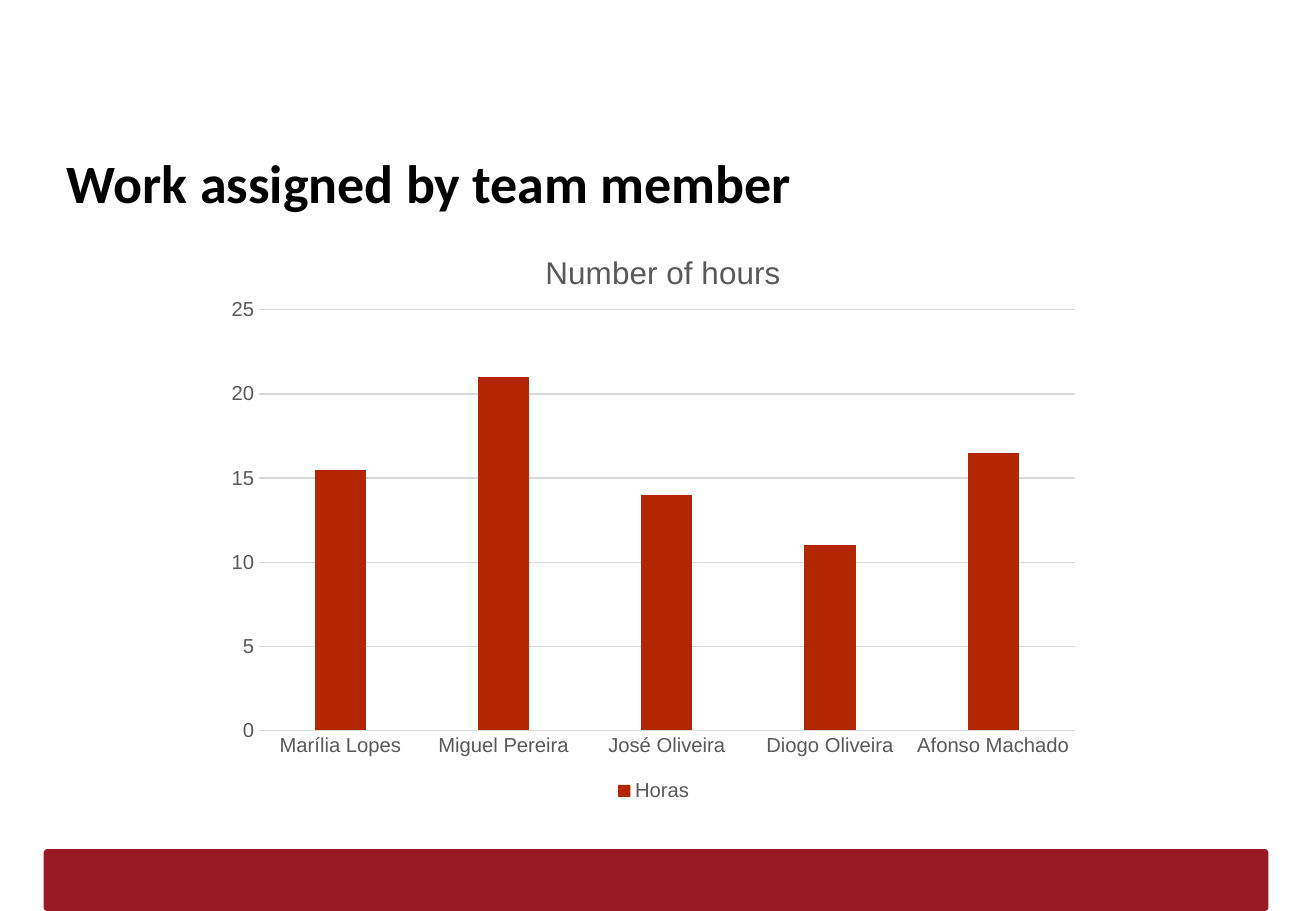
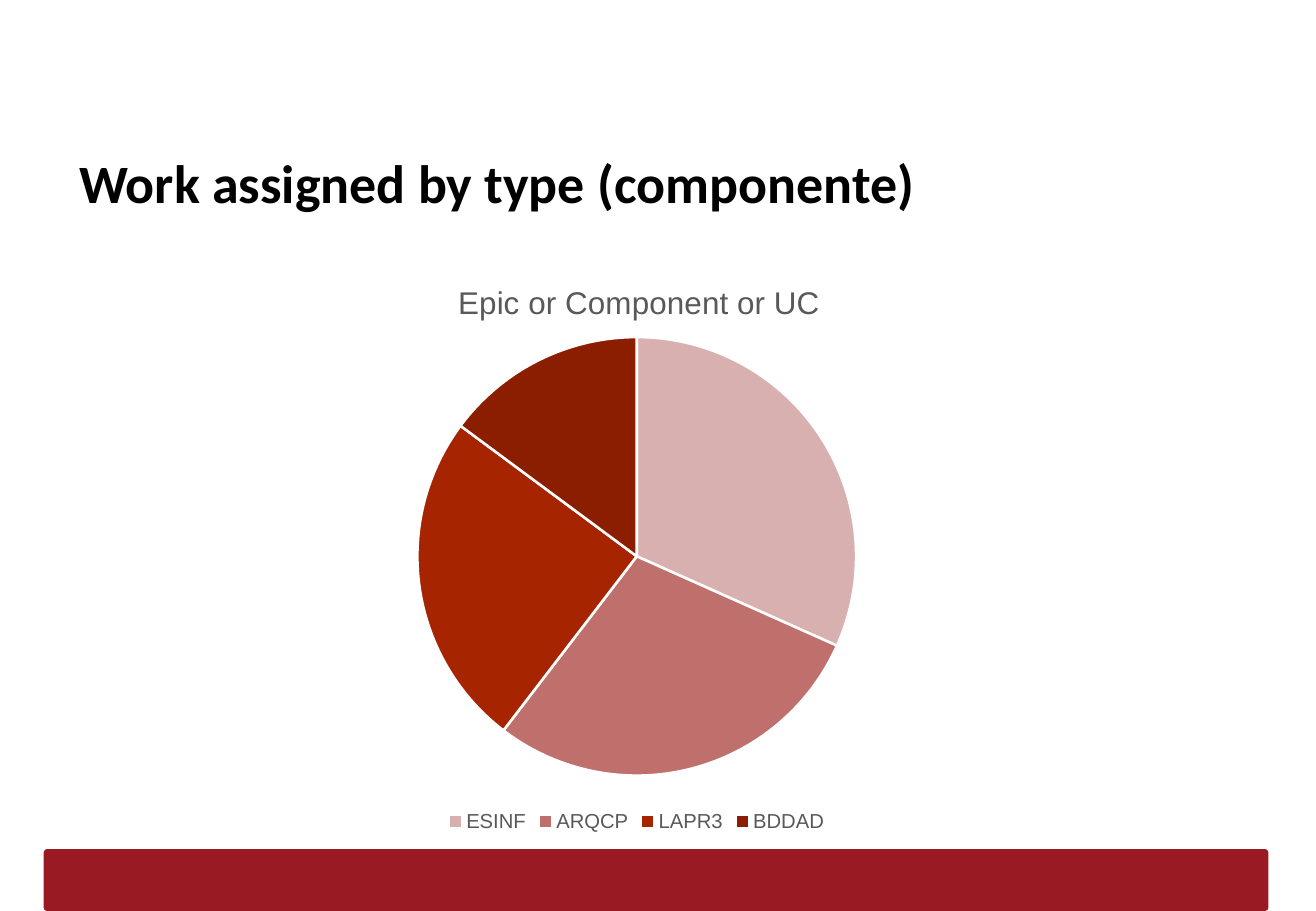
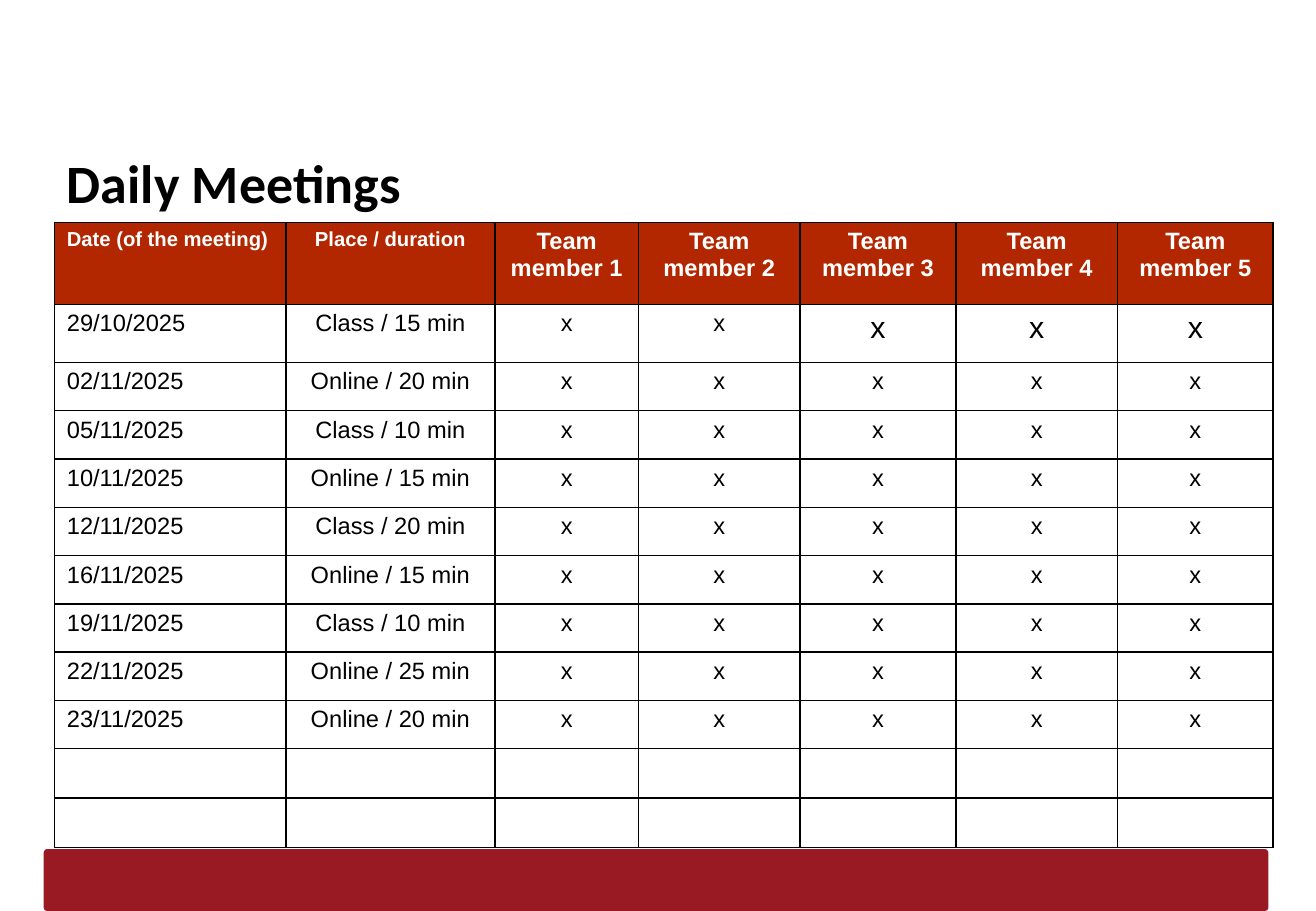
import dataclasses
import typing

import lxml.etree
import pptx
import pptx.chart.chart
import pptx.chart.data
import pptx.dml.color
import pptx.dml.fill
import pptx.enum.chart
import pptx.enum.shapes
import pptx.enum.text
import pptx.oxml.ns
import pptx.presentation
import pptx.slide
import pptx.table
import pptx.text.text
import pptx.util

WIDTH = pptx.util.Inches(10.83)
HEIGHT = pptx.util.Inches(7.5)
GRID = 100

BLACK = "000000"
WHITE = "FFFFFF"
BAND_RED = "9A1A24"
BRICK = "B22600"
CHART_TEXT = "595959"
CHART_LINE = "D9D9D9"
SLICE_COLOURS = ("D7B0AF", "BF706C", "A72400", "8C1E00")

BODY_FONT = "Arial"
TITLE_FONT = "Calibri"
CENTER = pptx.enum.text.PP_ALIGN.CENTER
LEFT = pptx.enum.text.PP_ALIGN.LEFT


@dataclasses.dataclass(frozen=True)
class Region:
    column: float
    row: float
    columns: float
    rows: float

    def place(self) -> tuple[int, int, int, int]:
        return (
            round(self.column * WIDTH / GRID),
            round(self.row * HEIGHT / GRID),
            round(self.columns * WIDTH / GRID),
            round(self.rows * HEIGHT / GRID),
        )


@dataclasses.dataclass(frozen=True)
class ChartSpec:
    kind: pptx.enum.chart.XL_CHART_TYPE
    region: Region
    heading: str
    heading_share: tuple[float, float]
    plot_share: tuple[float, float, float, float]
    series: str
    values: dict[str, float]


@dataclasses.dataclass(frozen=True)
class Meeting:
    date: str
    place: str


BAND = Region(3.32, 93.2, 93.07, 6.8)
TITLE = Region(4.16, 14.53, 91.32, 8.4)
TABLE = Region(4.16, 24.4, 92.6, 68.4)

HOURS = ChartSpec(
    kind=pptx.enum.chart.XL_CHART_TYPE.COLUMN_CLUSTERED,
    region=Region(16.34, 24.4, 66.67, 64.13),
    heading="Number of hours",
    heading_share=(0.37, 0.04),
    plot_share=(0.05, 0.15, 0.93, 0.72),
    series="Horas",
    values={
        "Marília Lopes": 15.5,
        "Miguel Pereira": 21,
        "José Oliveira": 14,
        "Diogo Oliveira": 11,
        "Afonso Machado": 16.5,
    },
)
COMPONENTS = ChartSpec(
    kind=pptx.enum.chart.XL_CHART_TYPE.PIE,
    region=Region(15.05, 27.73, 66.67, 64.13),
    heading="Epic or Component or UC",
    heading_share=(0.29, 0.04),
    plot_share=(0.25, 0.14, 0.5, 0.76),
    series="Series 1",
    values={"ESINF": 32, "ARQCP": 29, "LAPR3": 25, "BDDAD": 15},
)

MEMBERS = 5
HEADERS = ["Date (of the meeting)", "Place / duration"] + [
    f"Team member {number}" for number in range(1, MEMBERS + 1)
]
MEETINGS = (
    Meeting("29/10/2025", "Class / 15 min"),
    Meeting("02/11/2025", "Online / 20 min"),
    Meeting("05/11/2025", "Class / 10 min"),
    Meeting("10/11/2025", "Online / 15 min"),
    Meeting("12/11/2025", "Class / 20 min"),
    Meeting("16/11/2025", "Online / 15 min"),
    Meeting("19/11/2025", "Class / 10 min"),
    Meeting("22/11/2025", "Online / 25 min"),
    Meeting("23/11/2025", "Online / 20 min"),
)
EMPTY_ROWS = 2
COLUMN_WEIGHTS = (190, 172, 118, 133, 128, 133, 128)
ROW_WEIGHTS = (17, 12) + (10,) * (len(MEETINGS) - 1 + EMPTY_ROWS)


def colour(value: str) -> pptx.dml.color.RGBColor:
    return pptx.dml.color.RGBColor.from_string(value)


def paint(fill: pptx.dml.fill.FillFormat, value: str) -> None:
    fill.solid()
    fill.fore_color.rgb = colour(value)


def style_font(
    font: pptx.text.text.Font,
    size: float,
    value: str,
    name: str = BODY_FONT,
    bold: bool = False,
) -> None:
    font.name = name
    font.size = pptx.util.Pt(size)
    font.bold = bold
    font.color.rgb = colour(value)


def write(
    frame: pptx.text.text.TextFrame,
    text: str,
    *,
    size: float,
    value: str = BLACK,
    name: str = BODY_FONT,
    bold: bool = False,
    align: pptx.enum.text.PP_ALIGN = LEFT,
) -> None:
    para = frame.paragraphs[0]
    para.alignment = align
    span = para.add_run()
    span.text = text
    style_font(span.font, size, value, name, bold)


def add_band(page: pptx.slide.Slide) -> None:
    band = page.shapes.add_shape(
        pptx.enum.shapes.MSO_SHAPE.ROUNDED_RECTANGLE, *BAND.place()
    )
    band.adjustments[0] = 0.06
    band.shadow.inherit = False
    paint(band.fill, BAND_RED)
    band.line.fill.background()
    page.slide_layout.shapes.element.append(band.element)


def add_page(
    deck: pptx.presentation.Presentation, title: str, inset: float = 0.1
) -> pptx.slide.Slide:
    page = deck.slides.add_slide(deck.slide_layouts.get_by_name("Title Only"))
    box = page.shapes.title
    box.left, box.top, box.width, box.height = TITLE.place()
    frame = box.text_frame
    frame.word_wrap = True
    frame.auto_size = pptx.enum.text.MSO_AUTO_SIZE.NONE
    frame.vertical_anchor = pptx.enum.text.MSO_ANCHOR.TOP
    frame.margin_left = pptx.util.Inches(inset)
    frame.margin_top = pptx.util.Inches(0.14)
    frame.margin_bottom = 0
    write(frame, title, size=32, name=TITLE_FONT, bold=True)
    return page


def set_layout(
    parent: lxml.etree._Element,
    position: int,
    shares: typing.Sequence[float],
    inner: bool = False,
) -> None:
    tag = pptx.oxml.ns.qn
    previous = parent.find(tag("c:layout"))
    if previous is not None:
        parent.remove(previous)
    layout = lxml.etree.Element(tag("c:layout"))
    manual = lxml.etree.SubElement(layout, tag("c:manualLayout"))
    settings = [("layoutTarget", "inner")] if inner else []
    settings += [("xMode", "edge"), ("yMode", "edge")]
    settings += [(key, str(share)) for key, share in zip("xywh", shares)]
    for key, value in settings:
        lxml.etree.SubElement(manual, tag(f"c:{key}")).set("val", value)
    parent.insert(position, layout)


def add_chart(page: pptx.slide.Slide, spec: ChartSpec) -> pptx.chart.chart.Chart:
    data = pptx.chart.data.CategoryChartData()
    data.categories = list(spec.values)
    data.add_series(spec.series, list(spec.values.values()))
    chart = page.shapes.add_chart(spec.kind, *spec.region.place(), data).chart
    style_font(chart.font, 10, BLACK)
    chart.has_title = True
    write(
        chart.chart_title.text_frame,
        spec.heading,
        size=18.6,
        value=CHART_TEXT,
        align=CENTER,
    )
    chart.chart_title.include_in_layout = False
    chart.has_legend = True
    chart.legend.position = pptx.enum.chart.XL_LEGEND_POSITION.BOTTOM
    chart.legend.include_in_layout = False
    style_font(chart.legend.font, 12, CHART_TEXT)
    set_layout(chart.chart_title.element, 1, spec.heading_share)
    plot_area = chart.element.find(f".//{pptx.oxml.ns.qn('c:plotArea')}")
    set_layout(plot_area, 0, spec.plot_share, inner=True)
    return chart


def format_columns(chart: pptx.chart.chart.Chart) -> None:
    plot = chart.plots[0]
    plot.gap_width = 219
    plot.overlap = -27
    plot.vary_by_categories = False
    paint(plot.series[0].format.fill, BRICK)
    for axis in (chart.category_axis, chart.value_axis):
        axis.major_tick_mark = pptx.enum.chart.XL_TICK_MARK.NONE
        axis.minor_tick_mark = pptx.enum.chart.XL_TICK_MARK.NONE
        style_font(axis.tick_labels.font, 12, CHART_TEXT)
    chart.value_axis.format.line.fill.background()
    chart.value_axis.minimum_scale = 0
    chart.value_axis.maximum_scale = 25
    chart.value_axis.major_unit = 5
    for line in (
        chart.category_axis.format.line,
        chart.value_axis.major_gridlines.format.line,
    ):
        line.color.rgb = colour(CHART_LINE)
        line.width = pptx.util.Pt(0.75)


def format_slices(chart: pptx.chart.chart.Chart) -> None:
    plot = chart.plots[0]
    plot.vary_by_categories = True
    for number, value in enumerate(SLICE_COLOURS):
        piece = plot.series[0].points[number].format
        paint(piece.fill, value)
        piece.line.color.rgb = colour(WHITE)
        piece.line.width = pptx.util.Pt(1.5)


def add_borders(cell: pptx.table._Cell) -> None:
    tag = pptx.oxml.ns.qn
    properties = cell._tc.get_or_add_tcPr()
    for side in ("lnL", "lnR", "lnT", "lnB"):
        line = lxml.etree.SubElement(properties, tag(f"a:{side}"))
        line.set("w", str(pptx.util.Pt(1)))
        fill = lxml.etree.SubElement(line, tag("a:solidFill"))
        lxml.etree.SubElement(fill, tag("a:srgbClr")).set("val", BLACK)


def cell_size(row: int, column: int) -> int:
    if row == 0 and column < 2:
        return 12
    if row == 1 and column > 3:
        return 18
    return 14


def add_meetings(page: pptx.slide.Slide) -> None:
    rows = [HEADERS]
    rows += [[item.date, item.place] + ["x"] * MEMBERS for item in MEETINGS]
    rows += [[""] * len(HEADERS)] * EMPTY_ROWS
    left, top, width, height = TABLE.place()
    table = page.shapes.add_table(
        len(rows), len(HEADERS), left, top, width, height
    ).table
    table.first_row = False
    table.horz_banding = False
    for column, weight in zip(table.columns, COLUMN_WEIGHTS):
        column.width = round(width * weight / sum(COLUMN_WEIGHTS))
    for row, weight in zip(table.rows, ROW_WEIGHTS):
        row.height = round(height * weight / sum(ROW_WEIGHTS))
    for row_number, texts in enumerate(rows):
        header = row_number == 0
        for column_number, text in enumerate(texts):
            cell = table.cell(row_number, column_number)
            add_borders(cell)
            if header:
                paint(cell.fill, BRICK)
            else:
                cell.fill.background()
            if text:
                write(
                    cell.text_frame,
                    text,
                    size=cell_size(row_number, column_number),
                    value=WHITE if header else BLACK,
                    bold=header,
                    align=CENTER if column_number else LEFT,
                )


def main() -> None:
    deck = pptx.Presentation()
    deck.slide_width = WIDTH
    deck.slide_height = HEIGHT

    page = add_page(deck, "Work assigned by team member")
    add_band(page)
    format_columns(add_chart(page, HOURS))

    page = add_page(deck, "Work assigned by type (componente)", inset=0.2)
    format_slices(add_chart(page, COMPONENTS))

    add_meetings(add_page(deck, "Daily Meetings"))
    deck.save("out.pptx")


if __name__ == "__main__":
    main()
